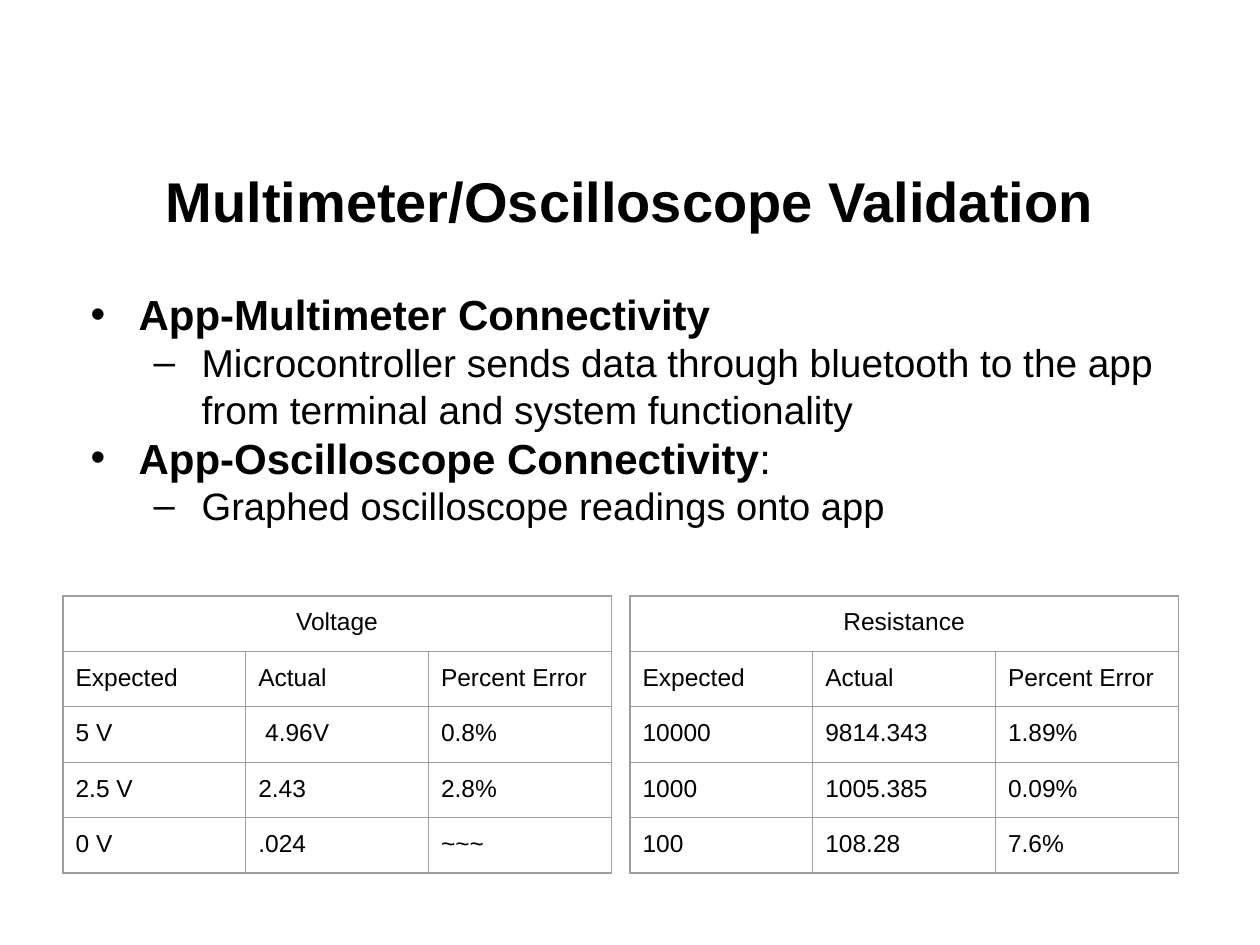
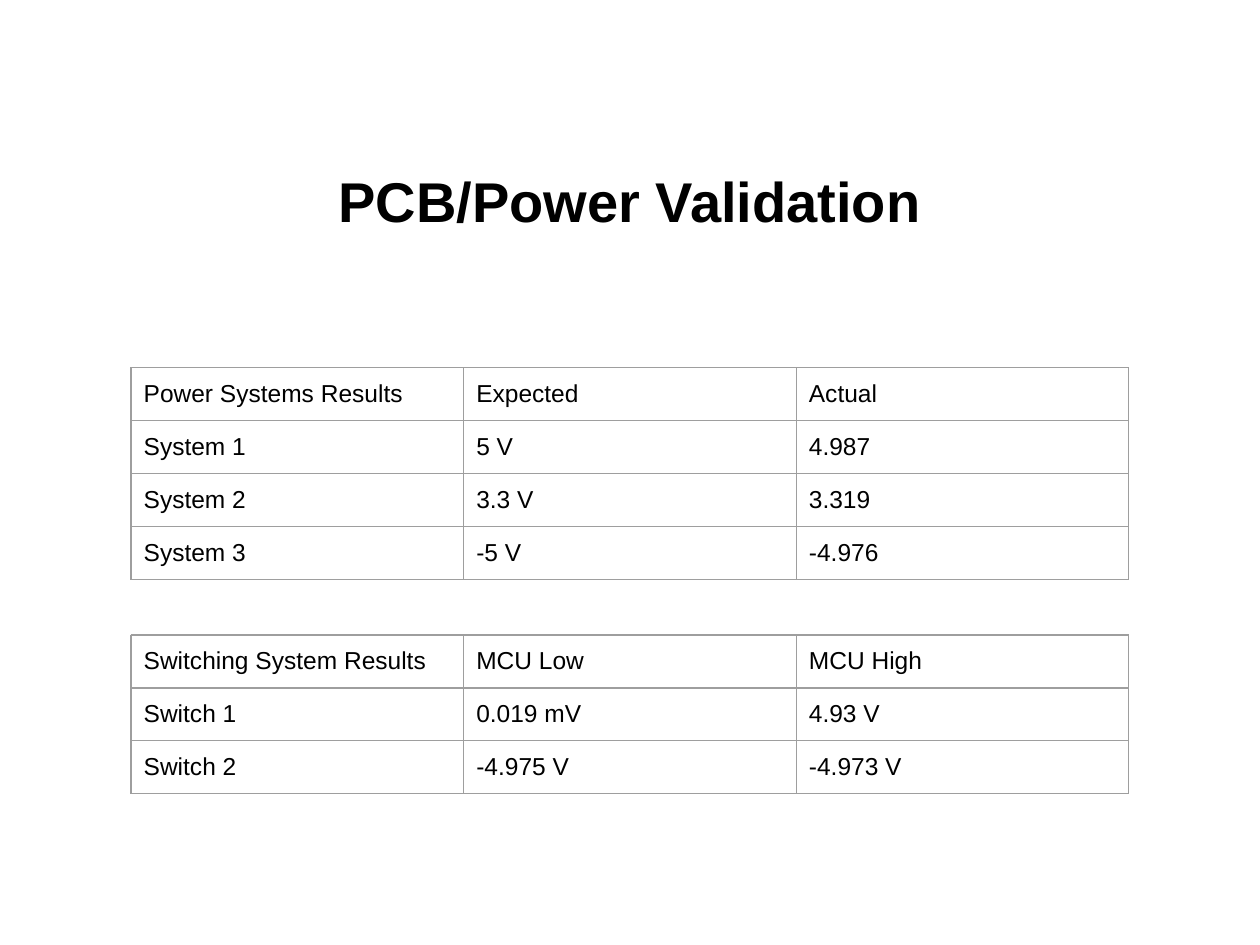
from dataclasses import dataclass

import pptx
import pptx.util
import pptx.dml.color
import pptx.enum.text
import pptx.oxml
import pptx.oxml.ns
from lxml import etree

BLACK = pptx.dml.color.RGBColor(0x00, 0x00, 0x00)
GRID_GREY = pptx.dml.color.RGBColor(0x9E, 0x9E, 0x9E)
FONT = "Arial"
CENTER = pptx.enum.text.PP_ALIGN.CENTER
LEFT = pptx.enum.text.PP_ALIGN.LEFT
MIDDLE = pptx.enum.text.MSO_ANCHOR.MIDDLE
TOP = pptx.enum.text.MSO_ANCHOR.TOP

SLIDE_WIDTH = pptx.util.Inches(10)
SLIDE_HEIGHT = pptx.util.Inches(7.5)
COLUMN = SLIDE_WIDTH / 100
ROW = SLIDE_HEIGHT / 75
TITLE_AREA = (5, 11.5, 90, 8.8)
LIST_AREA = (5, 22.4, 90, 44.6)
CELL_MARGIN = pptx.util.Inches(0.1)
HANGING = pptx.util.Inches(0.38)
LEVEL_INDENT = pptx.util.Inches(0.5)


@dataclass(frozen=True)
class Measurements:
    left: float
    top: float
    column_width: float
    row_height: float
    rows: list[tuple[str, ...]]
    heading: str = ""


@dataclass(frozen=True)
class Point:
    text: str
    size: float
    level: int = 0
    bold: bool = False
    ending: str = ""
    space_before: float = 0


COMPARISON = ("Expected", "Actual", "Percent Error")
VOLTAGE = Measurements(5, 47.3, 14.5, 4.4, [
    COMPARISON,
    ("5 V", " 4.96V", "0.8%"),
    ("2.5 V", "2.43", "2.8%"),
    ("0 V", ".024", "~~~"),
], "Voltage")
RESISTANCE = Measurements(50, 47.3, 14.5, 4.4, [
    COMPARISON,
    ("10000", "9814.343", "1.89%"),
    ("1000", "1005.385", "0.09%"),
    ("100", "108.28", "7.6%"),
], "Resistance")
POWER = Measurements(10.4, 29.2, 26.4, 4.2, [
    ("Power Systems Results", "Expected", "Actual"),
    ("System 1", "5 V", "4.987"),
    ("System 2", "3.3 V", "3.319"),
    ("System 3", "-5 V", "-4.976"),
])
SWITCHING = Measurements(10.4, 50.4, 26.4, 4.2, [
    ("Switching System Results", "MCU Low", "MCU High"),
    ("Switch 1", "0.019 mV", "4.93 V"),
    ("Switch 2", "-4.975 V", "-4.973 V"),
])
CONNECTIVITY = [
    Point("App-Multimeter Connectivity", 24, bold=True, space_before=3.6),
    Point("Microcontroller sends data through bluetooth to the app "
          "from terminal and system functionality", 22.2, level=1),
    Point("App-Oscilloscope Connectivity", 24, bold=True, ending=":"),
    Point("Graphed oscilloscope readings onto app", 21.8, level=1),
]


def across(columns: float) -> int:
    return round(columns * COLUMN)


def down(rows: float) -> int:
    return round(rows * ROW)


def write(paragraph, text: str, *, size: float, bold: bool = False, align=LEFT) -> None:
    paragraph.alignment = align
    run = paragraph.add_run()
    run.text = text
    run.font.name = FONT
    run.font.size = pptx.util.Pt(size)
    run.font.bold = bold
    run.font.color.rgb = BLACK


def place(placeholder, area: tuple[float, ...], anchor):
    left, top, width, height = area
    placeholder.left, placeholder.top = across(left), down(top)
    placeholder.width, placeholder.height = across(width), down(height)
    frame = placeholder.text_frame
    frame.word_wrap = True
    frame.auto_size = pptx.enum.text.MSO_AUTO_SIZE.NONE
    frame.vertical_anchor = anchor
    return frame


def add_titled_slide(deck, layout: int, title: str):
    slide = deck.slides.add_slide(deck.slide_layouts[layout])
    frame = place(slide.shapes.title, TITLE_AREA, MIDDLE)
    write(frame.paragraphs[0], title, size=32, bold=True, align=CENTER)
    return slide


def set_bullet(paragraph, level: int) -> None:
    properties = paragraph._p.get_or_add_pPr()
    properties.set("marL", str(LEVEL_INDENT * (level + 1)))
    properties.set("indent", str(-HANGING))
    qn = pptx.oxml.ns.qn
    color = etree.SubElement(properties, qn("a:buClr"))
    etree.SubElement(color, qn("a:srgbClr"), val=str(BLACK))
    etree.SubElement(properties, qn("a:buFont"), typeface=FONT)
    etree.SubElement(properties, qn("a:buChar"), char="•–"[level])


def fill_list(placeholder, points: list[Point]) -> None:
    frame = place(placeholder, LIST_AREA, TOP)
    for index, point in enumerate(points):
        paragraph = frame.add_paragraph() if index else frame.paragraphs[0]
        paragraph.level = point.level
        paragraph.space_before = pptx.util.Pt(point.space_before)
        set_bullet(paragraph, point.level)
        write(paragraph, point.text, size=point.size, bold=point.bold)
        if point.ending:
            write(paragraph, point.ending, size=point.size)


def outline(cell) -> None:
    properties = cell._tc.get_or_add_tcPr()
    for side in ("lnL", "lnR", "lnT", "lnB"):
        properties.append(pptx.oxml.parse_xml(
            f'<a:{side} {pptx.oxml.ns.nsdecls("a")} w="{pptx.util.Pt(0.75)}">'
            f'<a:solidFill><a:srgbClr val="{GRID_GREY}"/></a:solidFill></a:{side}>'))


def format_cell(cell) -> None:
    cell.margin_left = cell.margin_right = CELL_MARGIN
    cell.margin_top = cell.margin_bottom = CELL_MARGIN
    outline(cell)
    cell.fill.background()


def add_measurements(slide, data: Measurements) -> None:
    column_count = len(data.rows[0])
    offset = 1 if data.heading else 0
    row_count = len(data.rows) + offset
    table = slide.shapes.add_table(
        row_count, column_count, across(data.left), down(data.top),
        across(data.column_width * column_count), down(data.row_height * row_count)).table
    table.first_row = table.horz_banding = False
    for cell in table.iter_cells():
        format_cell(cell)
    if data.heading:
        heading = table.cell(0, 0)
        heading.merge(table.cell(0, column_count - 1))
        write(heading.text_frame.paragraphs[0], data.heading, size=14, align=CENTER)
    for row, values in enumerate(data.rows, offset):
        for column, value in enumerate(values):
            write(table.cell(row, column).text_frame.paragraphs[0], value, size=14)


def main() -> None:
    deck = pptx.Presentation()
    deck.slide_width, deck.slide_height = SLIDE_WIDTH, SLIDE_HEIGHT

    multimeter = add_titled_slide(deck, 1, "Multimeter/Oscilloscope Validation")
    fill_list(multimeter.placeholders[1], CONNECTIVITY)
    add_measurements(multimeter, VOLTAGE)
    add_measurements(multimeter, RESISTANCE)

    power = add_titled_slide(deck, 5, "PCB/Power Validation")
    add_measurements(power, POWER)
    add_measurements(power, SWITCHING)

    deck.save("out.pptx")


if __name__ == "__main__":
    main()
